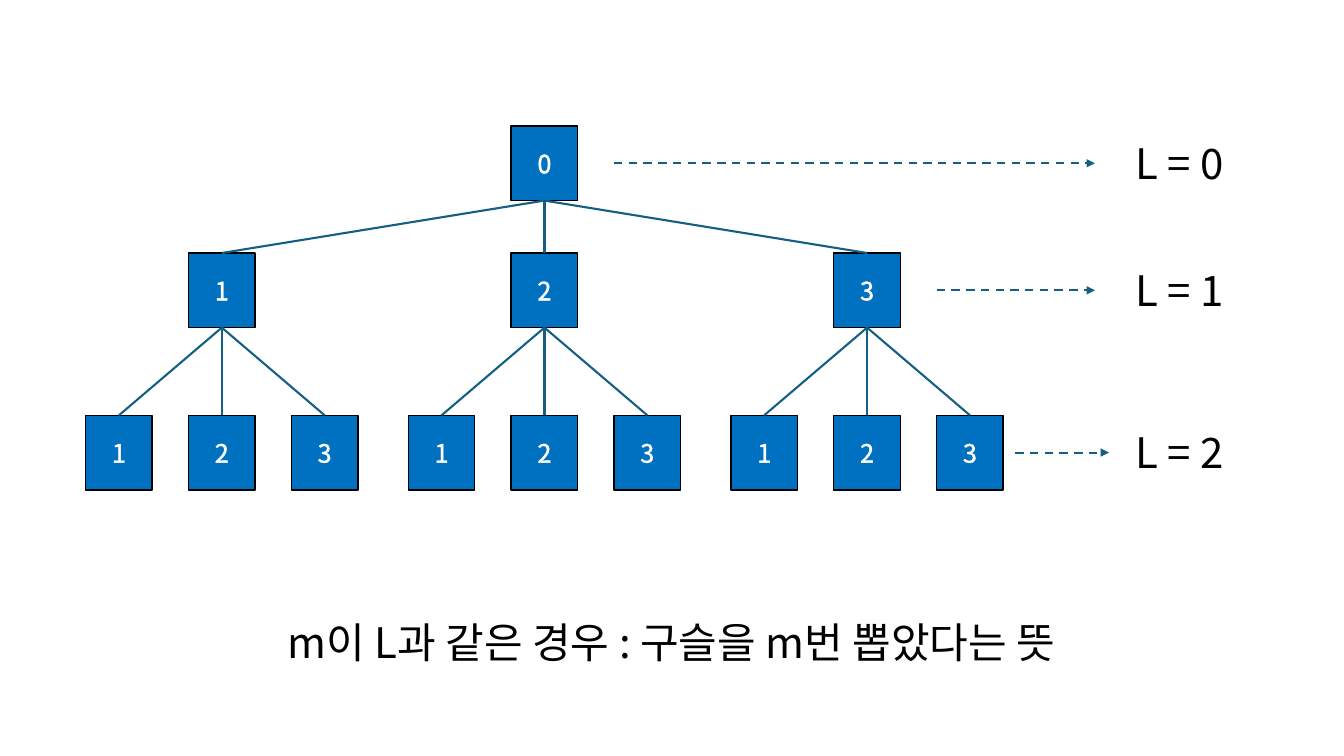
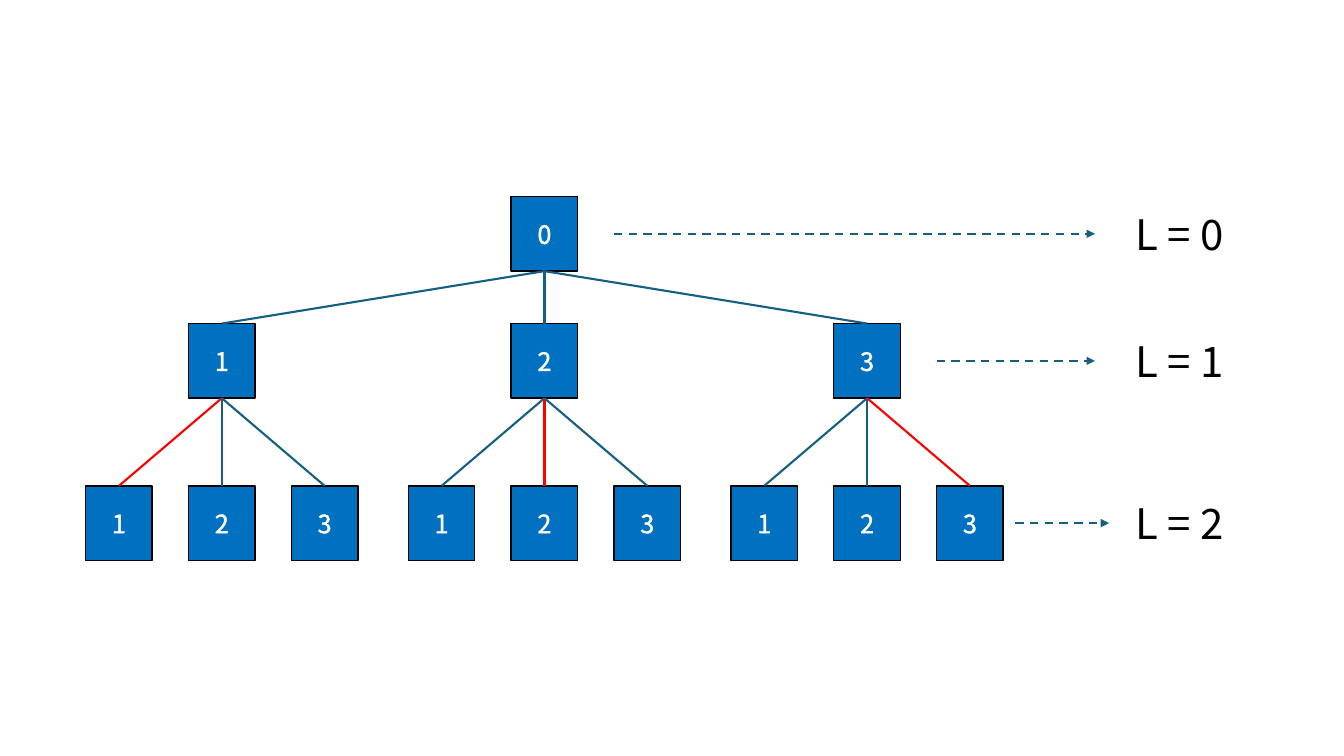
"""Build two slides showing a tree of marble draws by level."""
import pptx
import pptx.util
import pptx.dml.color
import pptx.enum.dml
import pptx.enum.shapes
import pptx.enum.text
import pptx.oxml
from pptx.oxml.ns import qn

Inches = pptx.util.Inches
Pt = pptx.util.Pt
RGB = pptx.dml.color.RGBColor.from_string
Align = pptx.enum.text.PP_ALIGN
NS = 'xmlns:a="http://schemas.openxmlformats.org/drawingml/2006/main"'
FONT = "Noto Sans CJK KR"
HUES = {"box": "0070C0", "edge": "156082", "pick": "FF0000",
        "ink": "000000", "white": "FFFFFF"}
WIDE, HIGH = 0.66, 0.74
MID, SPAN, STEP = 5.4, 3.2, 1.02
TOPS = [1.25, 2.51, 4.12]
ARROWS = [(6.09, 10.86), (9.29, 10.86), (10.07, 11)]
LABEL = 0.61
SLIDES = [
    {"drop": 0, "picks": False, "note": "m이 L과 같은 경우 : 구슬을 m번 뽑았다는 뜻"},
    {"drop": 0.7, "picks": True, "note": None},
]


def write(shape, text, size, hue, align):
    frame = shape.text_frame
    frame.word_wrap = True
    para = frame.paragraphs[0]
    para.alignment = align
    run = para.add_run()
    run.text = text
    run.font.size = Pt(size)
    run.font.name = FONT
    run.font.color.rgb = RGB(HUES[hue])
    run.font.fill  
    east = pptx.oxml.parse_xml(f'<a:ea {NS} typeface="{FONT}"/>')
    run.font._element.find(qn("a:latin")).addnext(east)
    return run


def link(shapes, start, end, hue):
    line = shapes.add_connector(
        pptx.enum.shapes.MSO_CONNECTOR.STRAIGHT, *start, *end)
    line.line.color.rgb = RGB(HUES[hue])
    line.line.width = Pt(1.5)
    line._element.spPr.append(pptx.oxml.parse_xml(f"<a:effectLst {NS}/>"))
    return line


deck = pptx.Presentation()
deck.slide_width = Inches(13.33)
deck.slide_height = Inches(7.5)

nodes = [(MID, 0, "0", None, False)]
for i in range(3):
    nodes.append((MID + (i - 1) * SPAN, 1, str(i + 1), 0, False))
for i in range(3):
    for j in range(3):
        x = MID + (i - 1) * SPAN + (j - 1) * STEP
        nodes.append((x, 2, str(j + 1), i + 1, i == j))

for plan in SLIDES:
    slide = deck.slides.add_slide(deck.slide_layouts[6])
    tops = [top + plan["drop"] for top in TOPS]
    tree = slide.shapes.add_group_shape().shapes
    boxes = []
    for x, level, text, root, twin in nodes:
        box = tree.add_shape(
            pptx.enum.shapes.MSO_SHAPE.RECTANGLE, Inches(x - WIDE / 2),
            Inches(tops[level]), Inches(WIDE), Inches(HIGH))
        box.shadow.inherit = False
        box.fill.solid()
        box.fill.fore_color.rgb = RGB(HUES["box"])
        box.line.color.rgb = RGB(HUES["ink"])
        box.line.width = Pt(1)
        box.text_frame.vertical_anchor = pptx.enum.text.MSO_ANCHOR.MIDDLE
        run = write(box, text, 18, "white", Align.CENTER)
        rim = pptx.oxml.parse_xml(
            f'<a:ln {NS} w="9525"><a:solidFill><a:srgbClr val="{HUES["white"]}"/>'
            '</a:solidFill></a:ln>')
        run.font._element.insert(0, rim)
        boxes.append(box)
        if root is not None:
            up = boxes[root]
            hue = "pick" if plan["picks"] and twin else "edge"
            edge = link(tree, (up.left + up.width // 2, up.top + up.height),
                        (box.left + box.width // 2, box.top), hue)
            edge.begin_connect(up, 2)
            edge.end_connect(box, 0)

    for level, (start, end) in enumerate(ARROWS):
        y = tops[level] + HIGH / 2
        label = slide.shapes.add_textbox(
            Inches(11.16), Inches(y - LABEL / 2), Inches(1.38), Inches(LABEL))
        write(label, f"L = {level}", 30, "ink", Align.LEFT)
        arrow = link(slide.shapes, (Inches(start), Inches(y)),
                     (Inches(end), Inches(y)), "edge")
        arrow.line.dash_style = pptx.enum.dml.MSO_LINE.DASH
        arrow.line._get_or_add_ln().append(
            pptx.oxml.parse_xml(f'<a:tailEnd {NS} type="triangle"/>'))

    if plan["note"]:
        note = slide.shapes.add_textbox(
            Inches(2.2), Inches(6.07), Inches(8.92), Inches(LABEL))
        write(note, plan["note"], 30, "ink", Align.CENTER)

deck.save("out.pptx")
